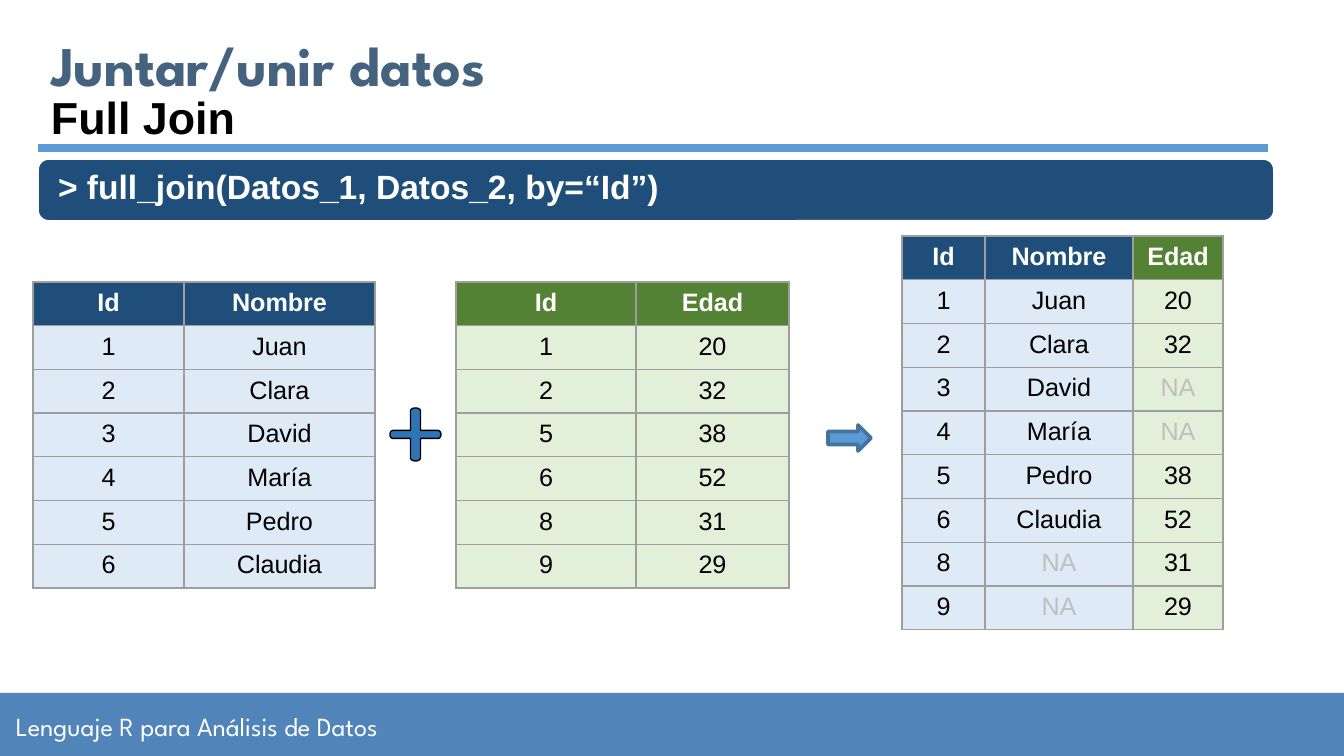
from math import cos, radians, sin

from lxml import etree
from pptx import Presentation
from pptx import util as u
from pptx.dml import color
from pptx.enum import shapes, text
from pptx.oxml import ns

PX = u.Inches(10) / 1344
NAVY, GREEN, SKY, MINT = "1E4E79", "548235", "DEEBF7", "E2F0D9"
WHITE, BLACK, GREY, BORDER = "FFFFFF", "000000", "BFBFBF", "9E9E9E"
NAMES = ["Juan", "Clara", "David", "María", "Pedro", "Claudia"]
AGES = {1: 20, 2: 32, 5: 38, 6: 52, 8: 31, 9: 29}


def px(*lengths):
    """Turn pixel lengths into EMU."""
    return [u.Emu(round(length * PX)) for length in lengths]


def rgb(value):
    """Turn a hex string into a colour."""
    return color.RGBColor.from_string(value)


def apply(target, values):
    """Set attributes from a dict of format values."""
    for name, value in values.items():
        setattr(target, name, value)


def paint(shape, fill, line=None, width=1):
    """Give a shape a plain fill and an optional outline."""
    shape.shadow.inherit = False
    shape.fill.solid()
    shape.fill.fore_color.rgb = rgb(fill)
    if line:
        shape.line.color.rgb = rgb(line)
        shape.line.width = u.Pt(width)
    else:
        shape.line.fill.background()


def write(frame, words, size, ink, font="Arial", bold=True, insets=(13, 7, 13, 7),
          anchor=text.MSO_ANCHOR.MIDDLE, align=text.PP_ALIGN.LEFT, spacing=1.0):
    """Write one formatted paragraph into a text frame."""
    sides = ("margin_left", "margin_top", "margin_right", "margin_bottom")
    apply(frame, dict(zip(sides, px(*insets))))
    apply(frame, {"word_wrap": True, "vertical_anchor": anchor,
                  "auto_size": text.MSO_AUTO_SIZE.NONE})
    paragraph = frame.paragraphs[0]
    paragraph.text = words
    apply(paragraph, {"alignment": align, "line_spacing": spacing})
    apply(paragraph.font, {"name": font, "size": u.Pt(size), "bold": bold})
    paragraph.font.color.rgb = rgb(ink)


def add_footer(slide, box):
    """Draw the course footer bar."""
    bar = slide.shapes.add_shape(shapes.MSO_SHAPE.RECTANGLE, *px(*box))
    paint(bar, "5184B9")
    write(bar.text_frame, "Lenguaje R para Análisis de Datos", 14, WHITE,
          font="League Spartan", bold=False, insets=(16, 16, 13, 13))


def add_heading(slide, box):
    """Place the title, the subtitle and the rule beneath them."""
    left, top, width, height = box
    title = slide.shapes.title
    apply(title, dict(zip(("left", "top", "width", "height"),
                          px(left, top, 886, 68))))
    write(title.text_frame, "Juntar/unir datos", 30, "45637F",
          font="League Spartan", insets=(13, 13, 13, 13))
    subtitle = slide.shapes.add_textbox(*px(left, top + 53, width, 67))
    write(subtitle.text_frame, "Full Join", 24, BLACK, anchor=text.MSO_ANCHOR.TOP)
    rule = slide.shapes.add_connector(
        shapes.MSO_CONNECTOR.STRAIGHT,
        *px(left, top + height, left + width, top + height))
    rule.line.color.rgb = rgb("5B9BD5")
    rule.line.width = u.Pt(4.5)
    etree.SubElement(rule._element.spPr, ns.qn("a:effectLst"))


def add_command(slide, box):
    """Draw the rounded bar with the join command."""
    bar = slide.shapes.add_shape(shapes.MSO_SHAPE.ROUNDED_RECTANGLE, *px(*box))
    bar.adjustments[0] = 0.17
    paint(bar, NAVY, WHITE)
    write(bar.text_frame, "> full_join(Datos_1, Datos_2, by=“Id”)", 18, WHITE,
          insets=(17, 11, 17, 13), spacing=0.9)


def add_borders(cell):
    """Draw a thin line on all four sides of a cell."""
    properties = cell._tc.get_or_add_tcPr()
    for side in ("lnL", "lnR", "lnT", "lnB"):
        line = etree.SubElement(properties, ns.qn(f"a:{side}"), w=str(u.Pt(0.75)))
        fill = etree.SubElement(line, ns.qn("a:solidFill"))
        etree.SubElement(fill, ns.qn("a:srgbClr"), val=BORDER)


def add_data(slide, box, columns, rows):
    """Build a data table from (name, width, header fill, body fill) columns."""
    left, top, height = box
    records = [[column[0] for column in columns], *rows]
    width = sum(column[1] for column in columns)
    table = slide.shapes.add_table(len(records), len(columns),
                                   *px(left, top, width, height)).table
    apply(table, {"first_row": False, "horz_banding": False})
    for row in table.rows:
        row.height = px(height / len(records))[0]
    for index, (_, column_width, header, body) in enumerate(columns):
        table.columns[index].width = px(column_width)[0]
        for number, record in enumerate(records):
            cell, value = table.cell(number, index), str(record[index])
            add_borders(cell)
            cell.fill.solid()
            cell.fill.fore_color.rgb = rgb(body if number else header)
            ink = WHITE if not number else GREY if value == "NA" else BLACK
            write(cell.text_frame, value, 13.5, ink, bold=not number,
                  align=text.PP_ALIGN.CENTER)
            apply(cell, dict(zip(("margin_left", "margin_right", "margin_top",
                                  "margin_bottom"), px(13, 13, 7, 7))))


def add_plus(slide, box):
    """Draw a plus sign whose four arms have rounded ends."""
    left, top, width, height = box
    half_x, half_y, cap = 5, 4, 3
    points = []
    for turn in range(0, 360, 90):
        flat = turn % 180 == 0
        radius_x, radius_y = (cap, half_y) if flat else (half_x, cap)
        tip_x = cos(radians(turn)) * (width / 2 - cap)
        tip_y = sin(radians(turn)) * (height / 2 - cap)
        for angle in range(turn - 90, turn + 91, 15):
            points.append((tip_x + radius_x * cos(radians(angle)),
                           tip_y + radius_y * sin(radians(angle))))
        corner = radians(turn + 45)
        points.append((half_x if cos(corner) > 0 else -half_x,
                       half_y if sin(corner) > 0 else -half_y))
    outline = [px(left + width / 2 + x, top + height / 2 + y) for x, y in points]
    builder = slide.shapes.build_freeform(*outline[0])
    builder.add_line_segments(outline[1:], close=True)
    paint(builder.convert_to_shape(), "2E75B6", BLACK, 0.75)


def add_arrow(slide, box):
    """Draw the arrow that leads to the joined table."""
    arrow = slide.shapes.add_shape(shapes.MSO_SHAPE.RIGHT_ARROW, *px(*box))
    paint(arrow, "5B9BD5", "43739E", 2)


def main():
    """Build the full join slide."""
    presentation = Presentation()
    apply(presentation, dict(zip(("slide_width", "slide_height"), px(1344, 756))))
    slide = presentation.slides.add_slide(presentation.slide_layouts[5])
    people = dict(enumerate(NAMES, 1))
    joined = [(key, people.get(key, "NA"), AGES.get(key, "NA"))
              for key in sorted(people.keys() | AGES.keys())]
    blue, green = (NAVY, SKY), (GREEN, MINT)
    add_footer(slide, (0, 693, 1344, 63))
    add_heading(slide, (38, 30, 1230, 118))
    add_command(slide, (38, 159, 1236, 62))
    add_data(slide, (33, 282, 306),
             [("Id", 151, *blue), ("Nombre", 191, *blue)], people.items())
    add_plus(slide, (390, 408, 51, 53))
    add_data(slide, (456, 282, 306),
             [("Id", 180, *green), ("Edad", 153, *green)], AGES.items())
    add_data(slide, (902, 236, 394),
             [("Id", 83, *blue), ("Nombre", 148, *blue), ("Edad", 90, *green)], joined)
    add_arrow(slide, (828, 425, 43, 26))
    presentation.save("out.pptx")


if __name__ == "__main__":
    main()
